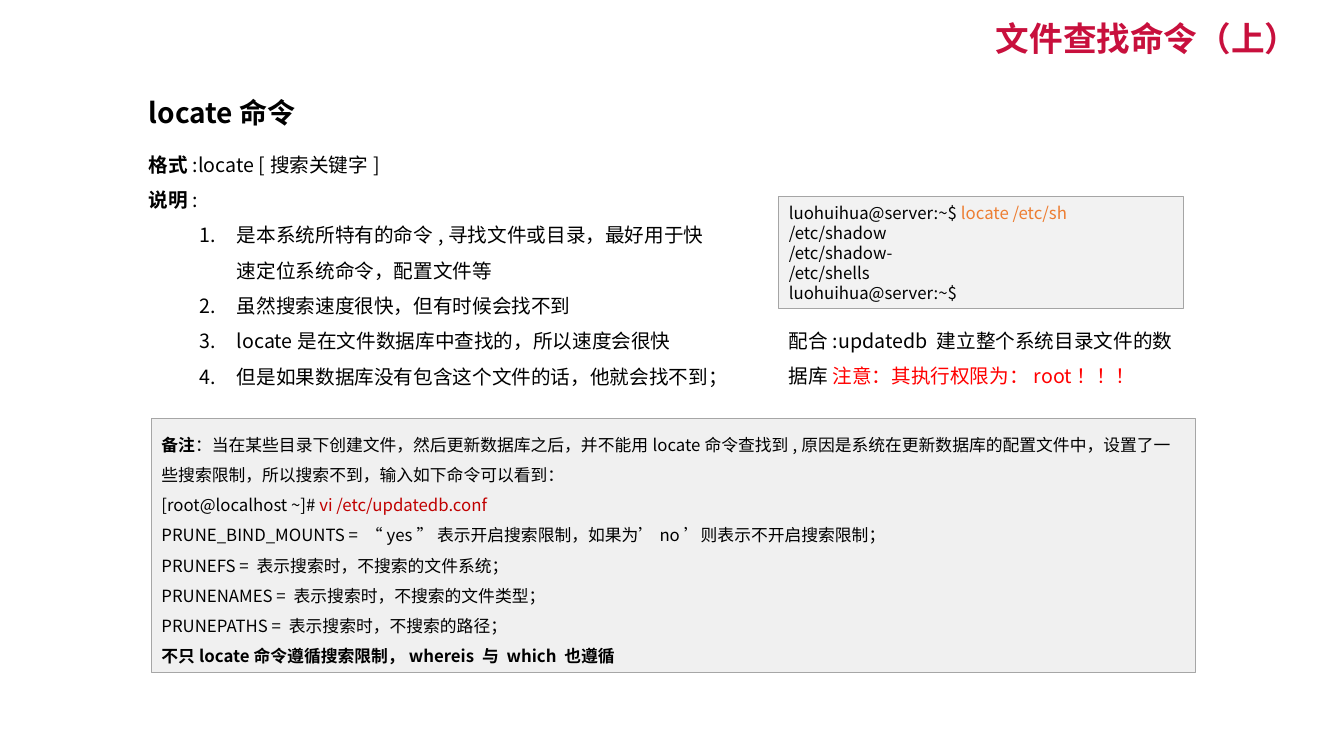
from lxml import etree
from pptx import Presentation
from pptx.dml.color import RGBColor
from pptx.enum.shapes import MSO_SHAPE
from pptx.enum.text import MSO_ANCHOR, PP_ALIGN
from pptx.oxml.ns import qn
from pptx.util import Cm, Pt

RECT = MSO_SHAPE.RECTANGLE
TOP, MIDDLE = MSO_ANCHOR.TOP, MSO_ANCHOR.MIDDLE
LEFT, RIGHT = PP_ALIGN.LEFT, PP_ALIGN.RIGHT

FONT = "Noto Sans CJK SC"
COLORS = {
    "text": "000000", "title": "C8103D", "input": "ED7D31",
    "command": "C00000", "warning": "FF0000",
    "terminal_fill": "F2F2F2", "terminal_line": "A5A5A5",
    "note_fill": "F0F0F0", "note_line": "A6A6A6",
}

# Each paragraph is a list of runs: (text, colour, bold)
USAGE = [
    [("格式", "text", True), (":locate [搜索关键字]", "text", False)],
    [("说明", "text", True), (":", "text", False)],
]
FEATURES = [
    "是本系统所特有的命令,寻找文件或目录，最好用于快速定位系统命令，配置文件等",
    "虽然搜索速度很快，但有时候会找不到",
    "locate是在文件数据库中查找的，所以速度会很快",
    "但是如果数据库没有包含这个文件的话，他就会找不到；",
]
PROMPT = "luohuihua@server:~$"
FOUND_FILES = ["/etc/shadow", "/etc/shadow-", "/etc/shells"]
UPDATEDB = [[
    ("配合:updatedb 建立整个系统目录文件的数据库 ", "text", False),
    ("注意：其执行权限为：root！！！", "warning", False),
]]
NOTE_INTRO = (
    "：当在某些目录下创建文件，然后更新数据库之后，并不能用locate命令查找到,"
    "原因是系统在更新数据库的配置文件中，设置了一些搜索限制，所以搜索不到，"
    "输入如下命令可以看到："
)
SETTINGS = [
    "PRUNE_BIND_MOUNTS = “yes” 表示开启搜索限制，如果为’no’则表示不开启搜索限制；",
    "PRUNEFS = 表示搜索时，不搜索的文件系统；",
    "PRUNENAMES = 表示搜索时，不搜索的文件类型；",
    "PRUNEPATHS = 表示搜索时，不搜索的路径；",
]
NOTE_END = "不只locate命令遵循搜索限制，whereis 与 which 也遵循"


def rgb(name):
    return RGBColor.from_string(COLORS[name])


def plain(lines):
    return [[(line, "text", False)] for line in lines]


def write(sp, paragraphs, size, spacing=1.0, align=LEFT, anchor=TOP):
    """Fill a shape with paragraphs and return them."""
    tf = sp.text_frame
    tf.word_wrap = True
    tf.vertical_anchor = anchor
    for i, runs in enumerate(paragraphs):
        p = tf.add_paragraph() if i else tf.paragraphs[0]
        p.alignment = align
        p.line_spacing = spacing
        p.font.size = Pt(size)
        p.font.name = FONT
        # East Asian typeface follows the Latin one
        latin = p._p.pPr.find(qn("a:defRPr")).find(qn("a:latin"))
        ea = etree.Element(qn("a:ea"), typeface=FONT)
        latin.addnext(ea)
        for text, color, bold in runs:
            r = p.add_run()
            r.text = text
            r.font.color.rgb = rgb(color)
            r.font.bold = bold
    return tf.paragraphs


def number(p, margin, hanging):
    pPr = p._p.get_or_add_pPr()
    pPr.set("marL", str(margin))
    pPr.set("indent", str(-hanging))
    bullet = etree.Element(qn("a:buAutoNum"), type="arabicPeriod")
    pPr.find(qn("a:defRPr")).addprevious(bullet)


def add_text(s, box, paragraphs, size, **layout):
    sp = s.shapes.add_textbox(*box)
    return write(sp, paragraphs, size, **layout)


def add_panel(s, box, name, paragraphs, spacing):
    sp = s.shapes.add_shape(RECT, *box)
    sp.shadow.inherit = False
    sp.fill.solid()
    sp.fill.fore_color.rgb = rgb(name + "_fill")
    sp.line.color.rgb = rgb(name + "_line")
    sp.line.width = Pt(0.75)
    write(sp, paragraphs, 12, spacing, anchor=MIDDLE)


def add_header(s, left, top, width):
    # Chapter title at the right, command name below at the left
    add_text(s, (left + Cm(13.44), top, width - Cm(13.44), Cm(1.04)),
             [[("文件查找命令（上）", "title", True)]], 24,
             spacing=0.9, align=RIGHT, anchor=MIDDLE)
    add_text(s, (left, top + Cm(1.88), Cm(7.29), Cm(1.42)),
             [[("locate命令", "text", True)]], 20, spacing=0.9)


def add_usage(s, left, top, width, height):
    paragraphs = add_text(s, (left, top, width, height),
                          USAGE + plain(FEATURES), 14, spacing=1.5)
    for p in paragraphs[len(USAGE):]:
        number(p, Cm(2.22), Cm(0.95))


def add_example(s, left, top, width):
    # Terminal session, then the remark on updatedb
    session = [[(PROMPT + " ", "text", False), ("locate /etc/sh", "input", False)]]
    session += plain(FOUND_FILES + [PROMPT])
    add_panel(s, (left, top, width, Cm(2.82)), "terminal", session, 1.0)
    add_text(s, (left, top + Cm(2.9), width, Cm(1.9)), UPDATEDB, 14, spacing=1.5)


def add_note(s, left, top, width, height):
    note = [
        [("备注", "text", True), (NOTE_INTRO, "text", False)],
        [("[root@localhost ~]# ", "text", False),
         ("vi /etc/updatedb.conf", "command", False)],
        *plain(SETTINGS),
        [(NOTE_END, "text", True)],
    ]
    add_panel(s, (left, top, width, height), "note", note, 1.5)


def main():
    prs = Presentation()
    prs.slide_width, prs.slide_height = Cm(33.87), Cm(19.05)
    s = prs.slides.add_slide(prs.slide_layouts[6])
    add_header(s, Cm(3.5), Cm(0.51), Cm(29.47))
    add_usage(s, Cm(3.5), Cm(3.43), Cm(14.76), Cm(6.53))
    add_example(s, Cm(19.63), Cm(4.96), Cm(10.19))
    add_note(s, Cm(3.82), Cm(10.54), Cm(26.31), Cm(6.4))
    prs.save("out.pptx")


if __name__ == "__main__":
    main()
